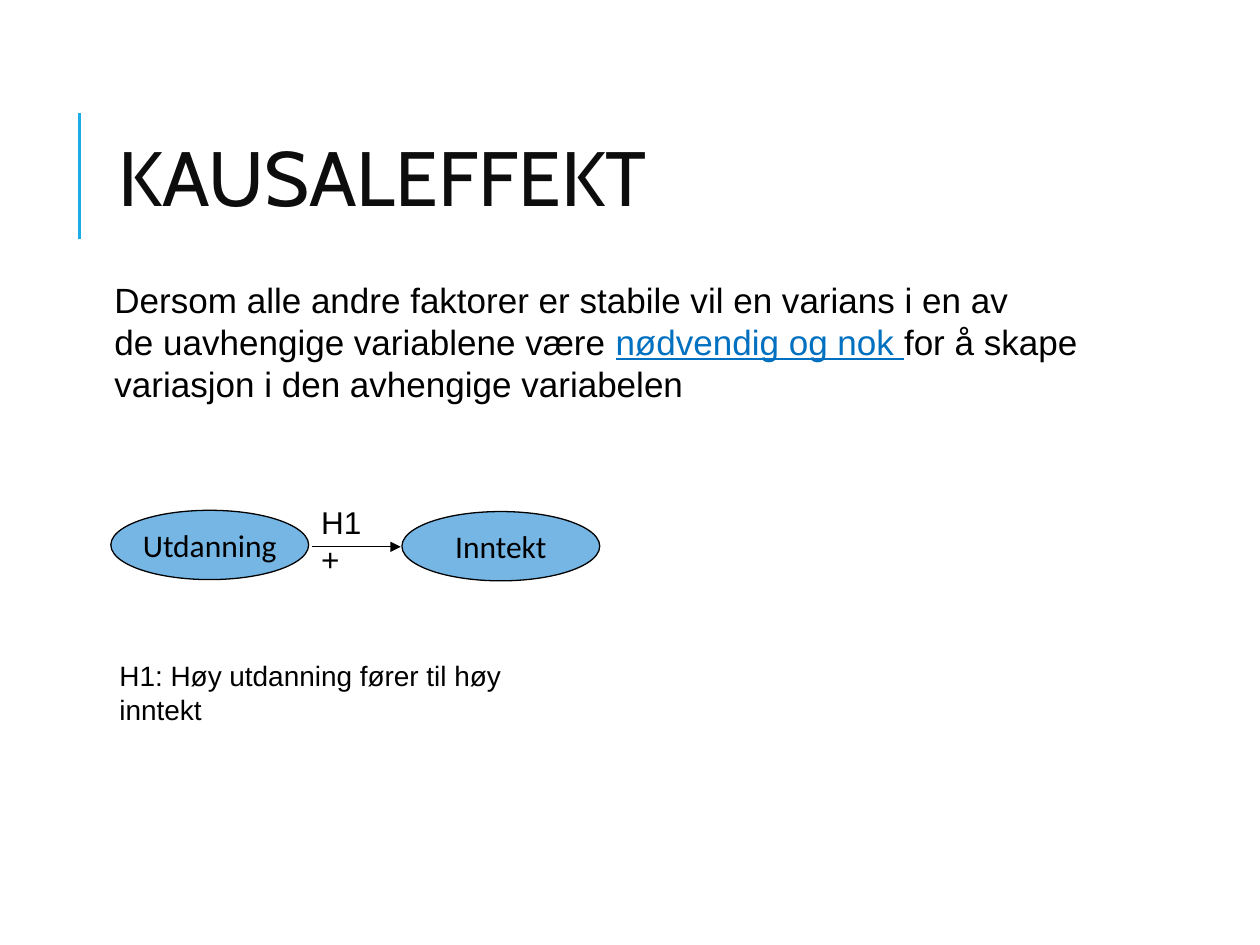
from dataclasses import dataclass

from lxml.etree import SubElement
from pptx import Presentation
from pptx.dml.color import RGBColor
from pptx.enum.shapes import MSO_CONNECTOR, MSO_SHAPE
from pptx.enum.text import MSO_ANCHOR, MSO_AUTO_SIZE, PP_ALIGN
from pptx.oxml.ns import qn
from pptx.util import Inches, Pt


@dataclass(frozen=True)
class Theme:
    ink: RGBColor = RGBColor(0, 0, 0)
    heading: RGBColor = RGBColor(0x0D, 0x0D, 0x0D)
    accent: RGBColor = RGBColor(0x1C, 0xAD, 0xE4)
    node: RGBColor = RGBColor(0x75, 0xB6, 0xE5)
    emphasis: RGBColor = RGBColor(0x00, 0x70, 0xC0)
    title_font: str = "Cabin"
    body_font: str = "Arial"
    node_font: str = "Calibri"
    title_size: int = 44
    body_size: int = 20
    label_size: int = 18
    note_size: int = 16


class SlideBuilder:
    """Draws styled elements on the current slide."""

    def __init__(self, page, theme):
        self.page = page
        self.theme = theme

    def style(self, span, font, size, color):
        span.font.name = font
        span.font.size = Pt(size)
        span.font.color.rgb = color

    def title(self, text, left, top, width, height):
        box = self.page.shapes.add_textbox(*map(Inches, (left, top, width, height)))
        frame = box.text_frame
        frame.word_wrap = True
        frame.vertical_anchor = MSO_ANCHOR.MIDDLE
        frame.text = text
        para = frame.paragraphs[0]
        para.line_spacing = 0.8
        self.style(para.runs[0], self.theme.title_font, self.theme.title_size, self.theme.heading)

    def text(self, lines, size, left, top, width, height, emphasis=None):
        box = self.page.shapes.add_textbox(*map(Inches, (left, top, width, height)))
        frame = box.text_frame
        frame.word_wrap = False
        frame.auto_size = MSO_AUTO_SIZE.SHAPE_TO_FIT_TEXT
        for index, line in enumerate(lines):
            para = frame.add_paragraph() if index else frame.paragraphs[0]
            for part in line:
                span = para.add_run()
                span.text = part
                self.style(span, self.theme.body_font, size, self.theme.ink)
                if part == emphasis:
                    span.font.color.rgb = self.theme.emphasis
                    span.font.underline = True

    def node(self, text, left, top, width=1.57, height=0.55):
        shape = self.page.shapes.add_shape(
            MSO_SHAPE.OVAL, *map(Inches, (left, top, width, height)))
        shape.shadow.inherit = False
        shape.fill.solid()
        shape.fill.fore_color.rgb = self.theme.node
        shape.line.color.rgb = self.theme.ink
        shape.line.width = Pt(0.75)
        frame = shape.text_frame
        frame.word_wrap = False
        frame.vertical_anchor = MSO_ANCHOR.MIDDLE
        frame.text = text
        para = frame.paragraphs[0]
        para.alignment = PP_ALIGN.CENTER
        self.style(para.runs[0], self.theme.node_font, self.theme.label_size, self.theme.ink)

    def line(self, start, end, color, weight, arrow=False):
        connector = self.page.shapes.add_connector(
            MSO_CONNECTOR.STRAIGHT, *map(Inches, (*start, *end)))
        connector.line.color.rgb = color
        connector.line.width = Pt(weight)
        properties = connector.element.spPr
        if arrow:
            SubElement(properties.find(qn("a:ln")), qn("a:tailEnd"), type="triangle")
        SubElement(properties, qn("a:effectLst"))


def main():
    theme = Theme()
    deck = Presentation()
    deck.slide_width, deck.slide_height = Inches(10), Inches(7.5)
    page = deck.slides.add_slide(deck.slide_layouts[6])
    builder = SlideBuilder(page, theme)

    builder.line((0.63, 1.9), (0.63, 0.9), theme.accent, 1.5)
    builder.title("KAUSALEFFEKT", 0.84, 0.64, 7.97, 1.64)

    builder.node("Inntekt", 3.19, 4.06)
    builder.node("Utdanning", 0.88, 4.05)
    builder.line((2.48, 4.34), (3.18, 4.34), theme.ink, 0.75, arrow=True)
    builder.text([["H1 +"]], theme.label_size, 2.45, 3.94, 0.73, 0.4)
    builder.text([["H1: Høy utdanning fører til høy inntekt"]],
                 theme.note_size, 0.85, 5.18, 3.94, 0.37)

    key_phrase = "nødvendig og nok "
    definition = [
        ["Dersom alle andre faktorer er stabile vil en varians i en av"],
        ["de uavhengige variablene være ", key_phrase, "for å skape"],
        ["variasjon i den avhengige variabelen"],
    ]
    builder.text(definition, theme.body_size, 0.81, 2.16, 7.92, 1.1, emphasis=key_phrase)

    deck.save("out.pptx")


if __name__ == "__main__":
    main()
